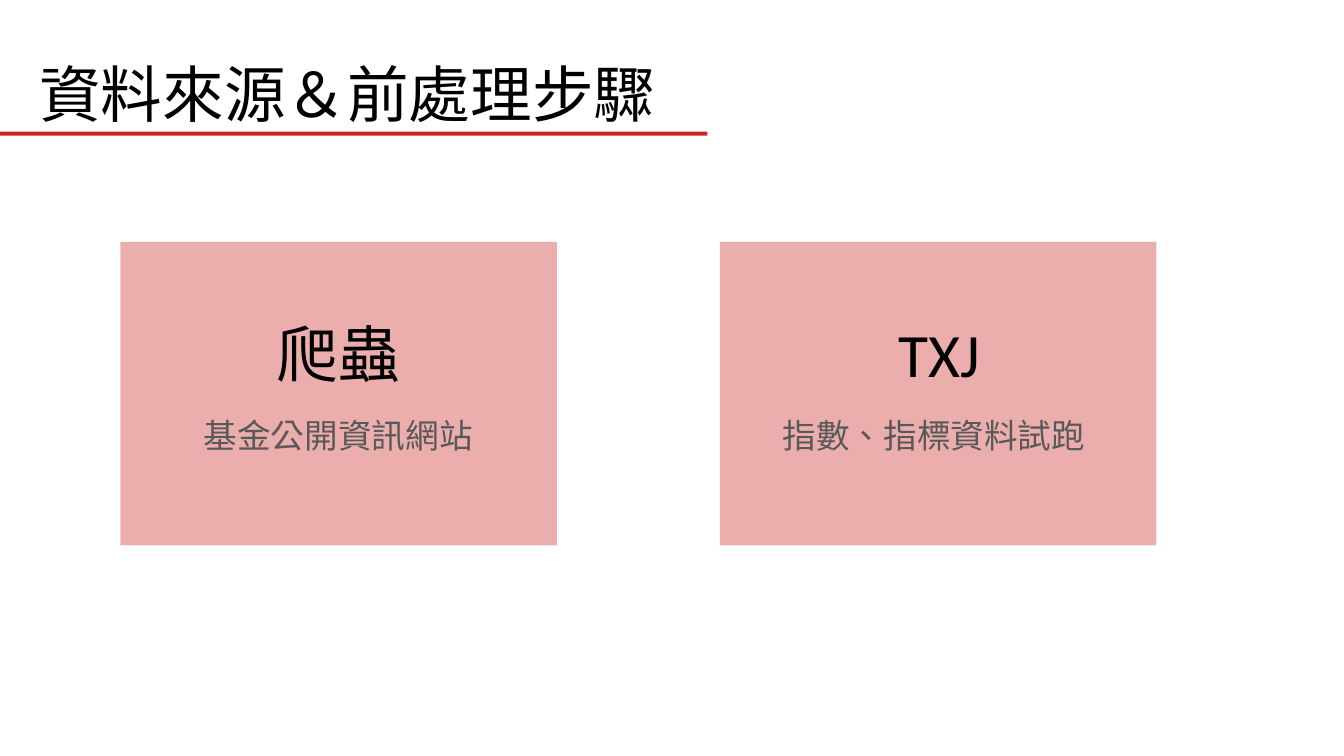
from lxml.etree import SubElement
from pptx import Presentation
from pptx.dml.color import RGBColor as RGB
from pptx.enum.shapes import MSO_SHAPE as SHAPE
from pptx.oxml.ns import qn
from pptx.util import Inches, Pt

COLORS = {"red": "CB2521", "ink": "000000", "grey": "595959"}
CJK_SC, CJK_JP, LATIN = "Noto Sans CJK SC", "Noto Sans CJK JP", "Calibri"


class Deck:
    """Places elements by percentages of the slide's width and height."""

    def __init__(self):
        self.prs = Presentation()
        self.prs.slide_width, self.prs.slide_height = Inches(13.33), Inches(7.5)
        self.s = self.prs.slides.add_slide(self.prs.slide_layouts[6])

    def box(self, x, y, w, h):
        width, height = self.prs.slide_width, self.prs.slide_height
        return [round(share * full / 100) for share, full in
                ((x, width), (y, height), (w, width), (h, height))]

    def rect(self, x, y, w, h, color, alpha=None):
        sp = self.s.shapes.add_shape(SHAPE.RECTANGLE, *self.box(x, y, w, h))
        sp.shadow.inherit = False
        sp.line.fill.background()
        sp.fill.solid()
        sp.fill.fore_color.rgb = RGB.from_string(COLORS[color])
        if alpha is not None:
            clr = sp.fill._xPr.find(".//" + qn("a:srgbClr"))
            SubElement(clr, qn("a:alpha"), val=str(alpha * 1000))

    def text(self, x, y, w, h, text, size, font, color):
        sp = self.s.shapes.add_textbox(*self.box(x, y, w, h))
        tf = sp.text_frame
        tf.word_wrap = True
        tf.margin_right = 0
        tf.text = text
        r = tf.paragraphs[0].runs[0]
        r.font.size, r.font.name = Pt(size), font
        r.font.color.rgb = RGB.from_string(COLORS[color])
        # East Asian font and Traditional Chinese glyph forms
        SubElement(r.font._element, qn("a:ea"), typeface=font)
        r.font._element.set("lang", "zh-TW")

    def card(self, x, heading, heading_w, heading_font, caption, caption_w):
        w = 32.48
        self.rect(x, 32, w, 40.13, "red", alpha=37)
        self.text(x + (w - heading_w) / 2, 41.07, heading_w, 11.2,
                  heading, 44, heading_font, "ink")
        self.text(x + (w - caption_w) / 2, 54.27, caption_w, 6.67,
                  caption, 24, CJK_JP, "grey")


def main():
    deck = Deck()

    # Title with its underline
    deck.rect(0, 17.4, 52.63, 0.53, "red")
    deck.text(2.18, 6.8, 48, 11.2, "資料來源＆前處理步驟", 44, CJK_SC, "ink")

    # Data source cards
    deck.card(8.95, "爬蟲", 10.65, CJK_JP, "基金公開資訊網站", 21.53)
    deck.card(53.56, "TXJ", 7.43, LATIN, "指數、指標資料試跑", 24.6)

    deck.prs.save("out.pptx")


if __name__ == "__main__":
    main()
